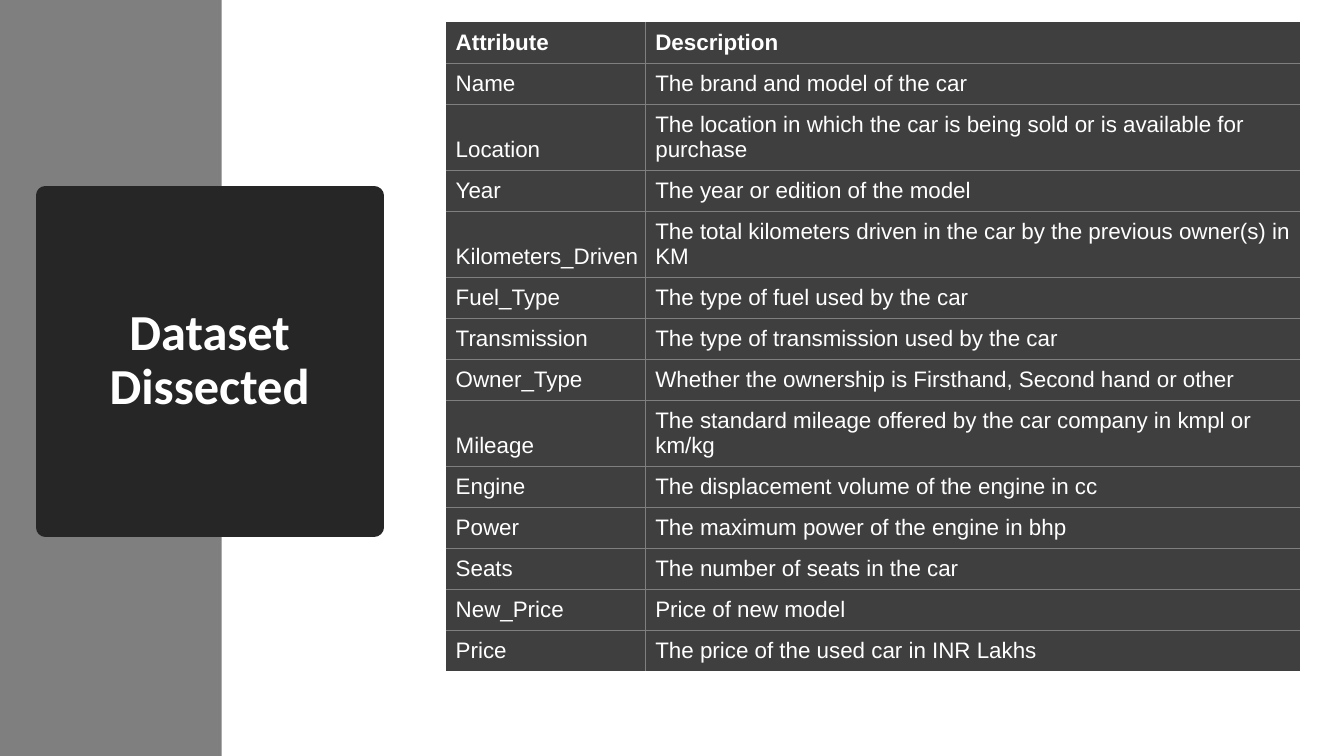
"""Build the slide that lists the attributes of the used car dataset."""
import pptx
import pptx.util
import pptx.dml.color
import pptx.enum.shapes
import pptx.enum.text
import lxml.etree

Inches, Pt = pptx.util.Inches, pptx.util.Pt
RGBColor = pptx.dml.color.RGBColor
MSO_ANCHOR = pptx.enum.text.MSO_ANCHOR

WHITE = RGBColor(0xFF, 0xFF, 0xFF)
GREY = RGBColor(0x7F, 0x7F, 0x7F)
DARK = RGBColor(0x3F, 0x3F, 0x3F)
BLACK = RGBColor(0x26, 0x26, 0x26)
NS = "{http://schemas.openxmlformats.org/drawingml/2006/main}"

ROWS = [
    ("Attribute", "Description"),
    ("Name", "The brand and model of the car"),
    ("Location", "The location in which the car is being sold or is available for purchase"),
    ("Year", "The year or edition of the model"),
    ("Kilometers_Driven", "The total kilometers driven in the car by the previous owner(s) in KM"),
    ("Fuel_Type", "The type of fuel used by the car"),
    ("Transmission", "The type of transmission used by the car"),
    ("Owner_Type", "Whether the ownership is Firsthand, Second hand or other"),
    ("Mileage", "The standard mileage offered by the car company in kmpl or km/kg"),
    ("Engine", "The displacement volume of the engine in cc"),
    ("Power", "The maximum power of the engine in bhp"),
    ("Seats", "The number of seats in the car"),
    ("New_Price", "Price of new model"),
    ("Price", "The price of the used car in INR Lakhs"),
]


def style(frame, font, size, bold):
    for run in frame.paragraphs[0].runs:
        run.font.name = font
        run.font.size = Pt(size)
        run.font.bold = bold
        run.font.color.rgb = WHITE


def border(cell, sides):
    props = cell._tc.get_or_add_tcPr()
    for spot, (side, shown) in enumerate(sides.items()):
        line = lxml.etree.Element(NS + side, w=str(Pt(0.75)))
        if shown:
            fill = lxml.etree.SubElement(line, NS + "solidFill")
            lxml.etree.SubElement(fill, NS + "srgbClr", val=str(GREY))
        else:
            lxml.etree.SubElement(line, NS + "noFill")
        props.insert(spot, line)


deck = pptx.Presentation()
deck.slide_width, deck.slide_height = Inches(13.33), Inches(7.5)
slide = deck.slides.add_slide(deck.slide_layouts[5])

title = slide.shapes.title
title.left, title.top = Inches(0.45), Inches(1.94)
title.width, title.height = Inches(3.26), Inches(3.29)
title.fill.solid()
title.fill.fore_color.rgb = BLACK
title.line.color.rgb = BLACK
title.line.width = Pt(13.75)
title.text_frame.text = "Dataset Dissected"
title.text_frame.word_wrap = True
title.text_frame.auto_size = pptx.enum.text.MSO_AUTO_SIZE.NONE
title.text_frame.vertical_anchor = MSO_ANCHOR.MIDDLE
title.text_frame.paragraphs[0].alignment = pptx.enum.text.PP_ALIGN.CENTER
title.text_frame.paragraphs[0].line_spacing = 0.9
style(title.text_frame, "Calibri", 36, True)

band = slide.shapes.add_shape(
    pptx.enum.shapes.MSO_SHAPE.RECTANGLE, 0, 0, Inches(2.2), deck.slide_height)
band.shadow.inherit = False
band.fill.solid()
band.fill.fore_color.rgb = GREY
band.line.fill.background()
title.element.addprevious(band.element)

last = len(ROWS) - 1
table = slide.shapes.add_table(
    len(ROWS), 2, Inches(4.42), Inches(0.22), Inches(8.47), Inches(0.37) * len(ROWS)).table
table.horz_banding = False
table.columns[0].width = Inches(1.98)
table.columns[1].width = Inches(6.49)
for r, words in enumerate(ROWS):
    for c, word in enumerate(words):
        cell = table.cell(r, c)
        cell.text_frame.text = word
        style(cell.text_frame, "Arial", 16, r == 0)
        cell.vertical_anchor = MSO_ANCHOR.BOTTOM
        cell.margin_left, cell.margin_right = Inches(0.1), Inches(0.01)
        cell.margin_top = cell.margin_bottom = Inches(0.08)
        cell.fill.solid()
        cell.fill.fore_color.rgb = DARK
        border(cell, {"lnL": c == 1, "lnR": c == 0, "lnT": r > 0, "lnB": r < last})

deck.save("out.pptx")
